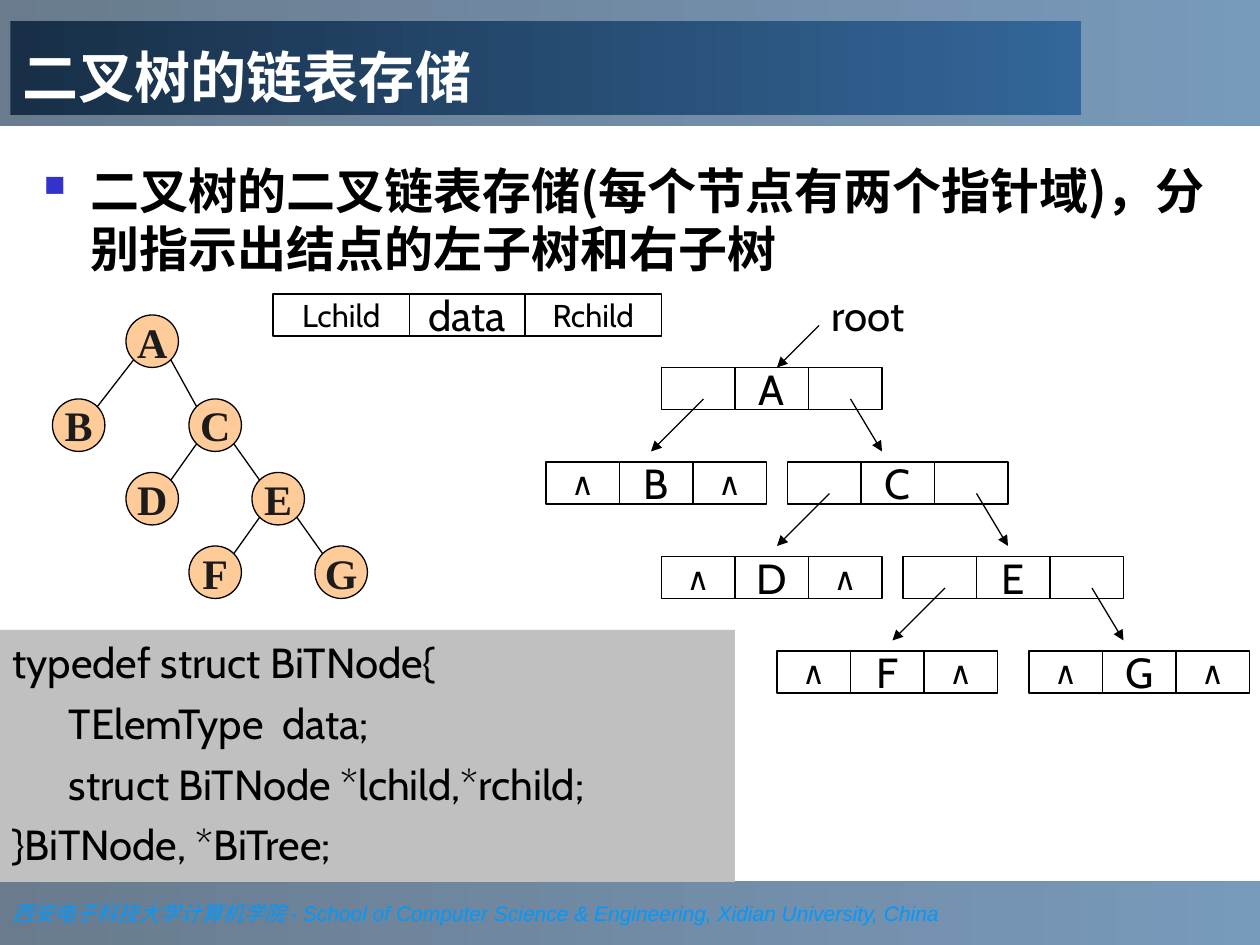
from dataclasses import dataclass
from math import sqrt

from pptx import Presentation
from pptx.dml.color import RGBColor as Rgb
from pptx.enum.shapes import MSO_CONNECTOR as Link, MSO_SHAPE as Kind
from pptx.enum.text import MSO_ANCHOR as Anchor, PP_ALIGN as Align
from pptx.oxml.ns import qn
from pptx.util import Cm, Pt

UNIT = 2.54 / 12
FONT = "Cabin"
DIAM = 5
CELL, HIGH = 7, 4
HUES = {
    "ink": "000000", "white": "FFFFFF", "navy": "182F47", "dusk": "1C3853",
    "blue": "336699", "sky": "0099FF", "mark": "3333CC", "peach": "FFCC99",
    "coal": "1C1C1C", "grey": "C0C0C0",
}


@dataclass
class Node:
    name: str
    tree: tuple[int, int]
    cell: tuple[int, int]
    left: str = ""
    right: str = ""


NODES = [
    Node("A", (12, 30), (63, 35), "B", "C"),
    Node("B", (5, 38), (52, 44)),
    Node("C", (18, 38), (75, 44), "D", "E"),
    Node("D", (12, 45), (63, 53)),
    Node("E", (24, 45), (86, 53), "F", "G"),
    Node("F", (18, 52), (74, 62)),
    Node("G", (30, 52), (98, 62)),
]
CODE = [
    "typedef struct BiTNode{",
    "      TElemType  data;",
    "      struct BiTNode *lchild,*rchild;",
    "}BiTNode, *BiTree;",
]


def grid(*units: float) -> list[Cm]:
    """Turn grid units into lengths."""
    return [Cm(n * UNIT) for n in units]


def hue(name: str) -> Rgb:
    """Look up a colour."""
    return Rgb.from_string(HUES[name])


def style(para, size: float, tint: str = "ink", face: str = FONT, bold: bool = False) -> None:
    """Set the font of a paragraph."""
    font = para.font
    font.size, font.name, font.bold = Pt(size), face, bold
    font.color.rgb = hue(tint)


def shape(slide, kind, box: tuple, fill: str = "", line: bool = False):
    """Draw a preset shape without shadow."""
    item = slide.shapes.add_shape(kind, *grid(*box))
    item.shadow.inherit = False
    if fill:
        item.fill.solid()
        item.fill.fore_color.rgb = hue(fill)
    else:
        item.fill.background()
    if line:
        item.line.color.rgb = hue("ink")
        item.line.width = Pt(0.75)
    else:
        item.line.fill.background()
    return item


def label(item, text: str, size: float, tint: str = "ink", face: str = FONT, bold: bool = False) -> None:
    """Centre one line of text in a shape."""
    frame = item.text_frame
    frame.word_wrap = False
    frame.vertical_anchor = Anchor.MIDDLE
    para = frame.paragraphs[0]
    para.text, para.alignment = text, Align.CENTER
    style(para, size, tint, face, bold)


def band(slide, box: tuple, start: str, alpha: int = 100):
    """Draw a bar with a gradient from left to right."""
    item = shape(slide, Kind.RECTANGLE, box)
    item.fill.gradient()
    item.fill.gradient_angle = 0
    for stop, name in zip(item.fill.gradient_stops, (start, "blue")):
        stop.color.rgb = hue(name)
    if alpha < 100:
        for tone in item.fill._xPr.iter(qn("a:srgbClr")):
            tone.makeelement(qn("a:alpha"))
            add(tone, "a:alpha", val=alpha * 1000)
    return item


def add(parent, tag: str, **attrs):
    """Append an XML element."""
    item = parent.makeelement(qn(tag), {k: str(v) for k, v in attrs.items()})
    parent.append(item)
    return item


def line(slide, start: tuple, end: tuple, arrow: bool = False) -> None:
    """Draw a thin line, with an arrowhead on demand."""
    item = slide.shapes.add_connector(Link.STRAIGHT, *grid(*start, *end))
    item.line.color.rgb = hue("ink")
    item.line.width = Pt(0.75)
    if arrow:
        add(item.line._get_or_add_ln(), "a:tailEnd", type="triangle")
    add(item._element.spPr, "a:effectLst")


def edge(slide, top: tuple, low: tuple, side: int) -> None:
    """Join two circles of the tree."""
    mid, reach = DIAM / 2, DIAM / 2 / sqrt(2)
    ends = [(x + mid + s * side * reach, y + mid + s * reach)
            for (x, y), s in ((top, 1), (low, -1))]
    line(slide, *ends)


def tree(slide) -> None:
    """Draw the binary tree."""
    spots = {node.name: node.tree for node in NODES}
    for node in NODES:
        ball = shape(slide, Kind.OVAL, (*node.tree, DIAM, DIAM), "peach", True)
        label(ball, node.name, 24, "coal", "Times New Roman", True)
    for node in NODES:
        for child, side in ((node.left, -1), (node.right, 1)):
            if child:
                edge(slide, node.tree, spots[child], side)


def cells(slide, x: float, y: float, parts: list[tuple]) -> None:
    """Draw a row of boxes given as width, text and size."""
    for wide, text, size in parts:
        item = shape(slide, Kind.RECTANGLE, (x, y, wide, HIGH), line=True)
        if text:
            label(item, text, size)
        x += wide


def chain(slide) -> None:
    """Draw the linked nodes and their pointers."""
    for node in NODES:
        x, y = node.cell
        left, right = ("" if kid else "∧" for kid in (node.left, node.right))
        cells(slide, x, y, [(CELL, left, 18), (CELL, node.name, 24), (CELL, right, 18)])
        if node.left:
            line(slide, (x + 4, y + 3), (x - 1, y + 8), True)
        if node.right:
            line(slide, (x + 18, y + 3), (x + 21, y + 8), True)
    line(slide, (78, 31), (74, 35), True)
    root = slide.shapes.add_textbox(*grid(78, 27, 14, 6)).text_frame
    root.word_wrap = True
    root.text = "root"
    style(root.paragraphs[0], 24)


def frame(slide) -> None:
    """Draw the bars, the footer and the title."""
    foot = band(slide, (0, 84, 120, 6), "dusk", 66).text_frame
    foot.vertical_anchor = Anchor.MIDDLE
    para = foot.paragraphs[0]
    para.alignment = Align.LEFT
    for text, face in (
        ("西安电子科技大学计算机学院 ", "Times New Roman"),
        ("- School of Computer Science & Engineering, Xidian University, China", "Arial"),
    ):
        run = para.add_run()
        run.text, run.font.name = text, face
    para.font.size, para.font.italic = Pt(12), True
    para.font.color.rgb = hue("sky")
    band(slide, (0, 0, 120, 12), "dusk", 66)
    head = band(slide, (1, 2, 102, 9), "navy").text_frame
    head.vertical_anchor = Anchor.BOTTOM
    head.text = "二叉树的链表存储"
    head.paragraphs[0].alignment = Align.LEFT
    style(head.paragraphs[0], 32, "white", bold=True)


def point(slide) -> None:
    """Write the bullet point."""
    body = slide.shapes.add_textbox(*grid(3, 14, 114, 15)).text_frame
    body.word_wrap = True
    body.margin_top = Cm(0.29)
    para = body.paragraphs[0]
    para.text = "二叉树的二叉链表存储(每个节点有两个指针域)，分别指示出结点的左子树和右子树"
    props = para._p.get_or_add_pPr()
    props.set("marL", str(Cm(0.95)))
    props.set("indent", str(Cm(-0.95)))
    add(add(props, "a:buClr"), "a:srgbClr", val=HUES["mark"])
    add(props, "a:buSzPct", val=60000)
    add(props, "a:buChar", char="■")
    para.line_spacing = Pt(33)
    style(para, 28, face="Noto Sans CJK SC", bold=True)


def code(slide) -> None:
    """Write the type definition."""
    text = shape(slide, Kind.RECTANGLE, (0, 60, 70, 24), "grey").text_frame
    text.word_wrap = True
    text.vertical_anchor = Anchor.TOP
    text.text = "\n".join(CODE)
    for i, para in enumerate(text.paragraphs):
        para.alignment = Align.LEFT
        para.space_before = Pt(6 if i else 0)
        style(para, 24)


def main() -> None:
    """Build the slide."""
    deck = Presentation()
    deck.slide_width, deck.slide_height = grid(120, 90)
    slide = deck.slides.add_slide(deck.slide_layouts[6])
    for draw in (frame, point, tree, chain, code):
        draw(slide)
    cells(slide, 26, 28, [(13, "Lchild", 18), (11, "data", 24), (13, "Rchild", 18)])
    deck.save("out.pptx")


if __name__ == "__main__":
    main()
